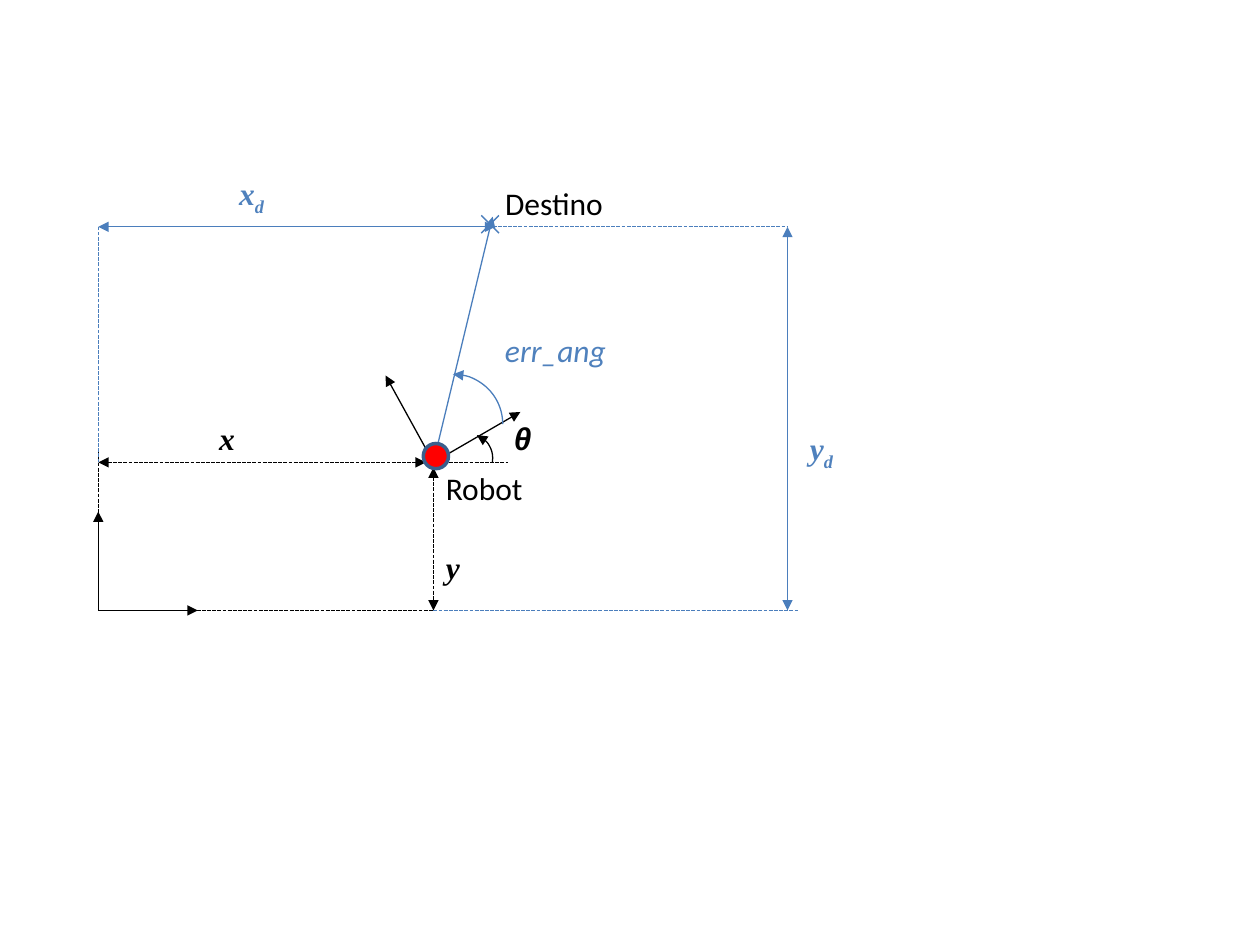
from lxml.etree import SubElement
from pptx import Presentation
from pptx.dml.color import RGBColor
from pptx.enum.dml import MSO_LINE
from pptx.enum.shapes import MSO_CONNECTOR, MSO_SHAPE
from pptx.enum.text import MSO_AUTO_SIZE
from pptx.oxml.ns import qn
from pptx.util import Inches, Pt

BLACK = RGBColor(0x00, 0x00, 0x00)
BLUE = RGBColor(0x4B, 0x7E, 0xBC)
LABEL_BLUE = RGBColor(0x4F, 0x81, 0xBD)
RED = RGBColor(0xFF, 0x00, 0x00)
RIM_BLUE = RGBColor(0x3A, 0x5F, 0x8C)

COLUMNS, ROWS = 100, 75


def add_run(paragraph, text, font="Calibri", color=BLACK, bold=False,
            italic=False, subscript=False):
    run = paragraph.add_run()
    run.text = text
    run.font.name, run.font.size = font, Pt(18)
    run.font.bold, run.font.italic = bold, italic
    run.font.color.rgb = color
    if subscript:
        run.font._element.set("baseline", "-25000")


class Diagram:
    """Draws on one slide; lengths are columns and rows of a 100 x 75 grid."""

    def __init__(self, presentation):
        self.column = presentation.slide_width / COLUMNS
        self.row = presentation.slide_height / ROWS
        self.shapes = presentation.slides.add_slide(
            presentation.slide_layouts[6]).shapes

    def place(self, *lengths):
        units = (self.column, self.row) * 2
        return [round(length * unit) for length, unit in zip(lengths, units)]

    def style_line(self, shape, color, width=0.75, dashed=False, arrows=""):
        line = shape.line
        line.color.rgb, line.width = color, Pt(width)
        if dashed:
            line.dash_style = MSO_LINE.SQUARE_DOT
        for end in ("head", "tail"):
            if end in arrows:
                SubElement(shape._element.spPr.find(qn("a:ln")),
                           qn(f"a:{end}End"), type="triangle")

    def line(self, start, end, color=BLACK, **style):
        connector = self.shapes.add_connector(
            MSO_CONNECTOR.STRAIGHT, *self.place(*start, *end))
        self.style_line(connector, color, **style)
        SubElement(connector._element.spPr, qn("a:effectLst"))

    def round_shape(self, preset, left, top, size):
        shape = self.shapes.add_shape(
            preset, *self.place(left, top, size, size))
        shape.shadow.inherit = False
        return shape

    def arc(self, left, top, size, color=BLACK, angles=None):
        arc = self.round_shape(MSO_SHAPE.ARC, left, top, size)
        for index, angle in enumerate(angles or ()):
            arc.adjustments[index] = angle
        arc.fill.background()
        self.style_line(arc, color, arrows="head")

    def disc(self, left, top, size, fill, rim):
        disc = self.round_shape(MSO_SHAPE.OVAL, left, top, size)
        disc.fill.solid()
        disc.fill.fore_color.rgb = fill
        self.style_line(disc, rim, width=2)

    def label(self, text, left, top, width, subscript="", **style):
        frame = self.shapes.add_textbox(
            *self.place(left, top, width, 4)).text_frame
        frame.word_wrap = True
        frame.auto_size = MSO_AUTO_SIZE.SHAPE_TO_FIT_TEXT
        paragraph = frame.paragraphs[0]
        add_run(paragraph, text, **style)
        if subscript:
            add_run(paragraph, subscript, subscript=True, **style)


def main():
    presentation = Presentation()
    presentation.slide_width, presentation.slide_height = Inches(10), Inches(7.5)
    diagram = Diagram(presentation)

    # Landmarks of the plane
    origin_x, origin_y = 7.8, 48.45
    robot_x, robot_y = 34.4, 36.7
    target_x, target_y = 39.1, 18
    measure_x = 62.5
    origin, robot = (origin_x, origin_y), (robot_x, robot_y)
    target = (target_x, target_y)
    both = "head tail"
    variable = dict(font="Times New Roman", bold=True, italic=True)

    # World axes and robot axes
    diagram.line(origin, (15.7, origin_y), arrows="tail")
    diagram.line(origin, (origin_x, 40.6), arrows="tail")
    diagram.line(robot, (41.3, 32.7), arrows="tail")
    diagram.line(robot, (30.6, 29.8), arrows="tail")

    # Robot position
    diagram.line((14.8, origin_y), (robot_x, origin_y), dashed=True)
    diagram.line((robot_x, 37.1), (robot_x, origin_y), dashed=True, arrows=both)
    diagram.line((origin_x, 35.9), (origin_x, 47.7), dashed=True)
    diagram.line((origin_x, robot_y), (33.8, robot_y), dashed=True, arrows=both)
    diagram.line(robot, (40.3, robot_y), dashed=True)
    diagram.arc(35.2, 34.4, 3.9, angles=(174.62, 5.26))
    diagram.label("x", 16.4, 32.8, 7, **variable)
    diagram.label("y", 34.4, 43, 10.2, **variable)
    diagram.label("θ", 39.8, 32.8, 5.5, font="Arial", bold=True, italic=True)

    # Target cross, heading and angular error
    for top, bottom in ((17.1, 18.5), (18.5, 17.1)):
        diagram.line((38.2, top), (39.6, bottom), BLUE)
    diagram.line(robot, (target_x, 17.2), BLUE, arrows="tail")
    diagram.arc(32, 29.7, 7.9, BLUE)
    diagram.label("err_ang", 39.1, 25.8, 11.7, color=LABEL_BLUE, italic=True)

    # Target position
    diagram.line(target, (measure_x, target_y), BLUE, dashed=True)
    diagram.line((robot_x, origin_y), (63.3, origin_y), BLUE, dashed=True)
    diagram.line((measure_x, target_y), (measure_x, origin_y), BLUE, arrows=both)
    diagram.line((origin_x, robot_y), (origin_x, target_y), BLUE, dashed=True)
    diagram.line((39.3, target_y), (origin_x, target_y), BLUE, arrows=both)
    for name, left, top in (("x", 18, 13.3), ("y", 63.3, 33.6)):
        diagram.label(name, left, top, 7, subscript="d", color=LABEL_BLUE,
                      **variable)

    # Robot and names
    diagram.disc(33.6, 35.2, 2, RED, RIM_BLUE)
    diagram.label("Robot", 34.4, 36.7, 8.6)
    diagram.label("Destino", 39.1, 14.1, 17.2)

    presentation.save("out.pptx")


if __name__ == "__main__":
    main()
